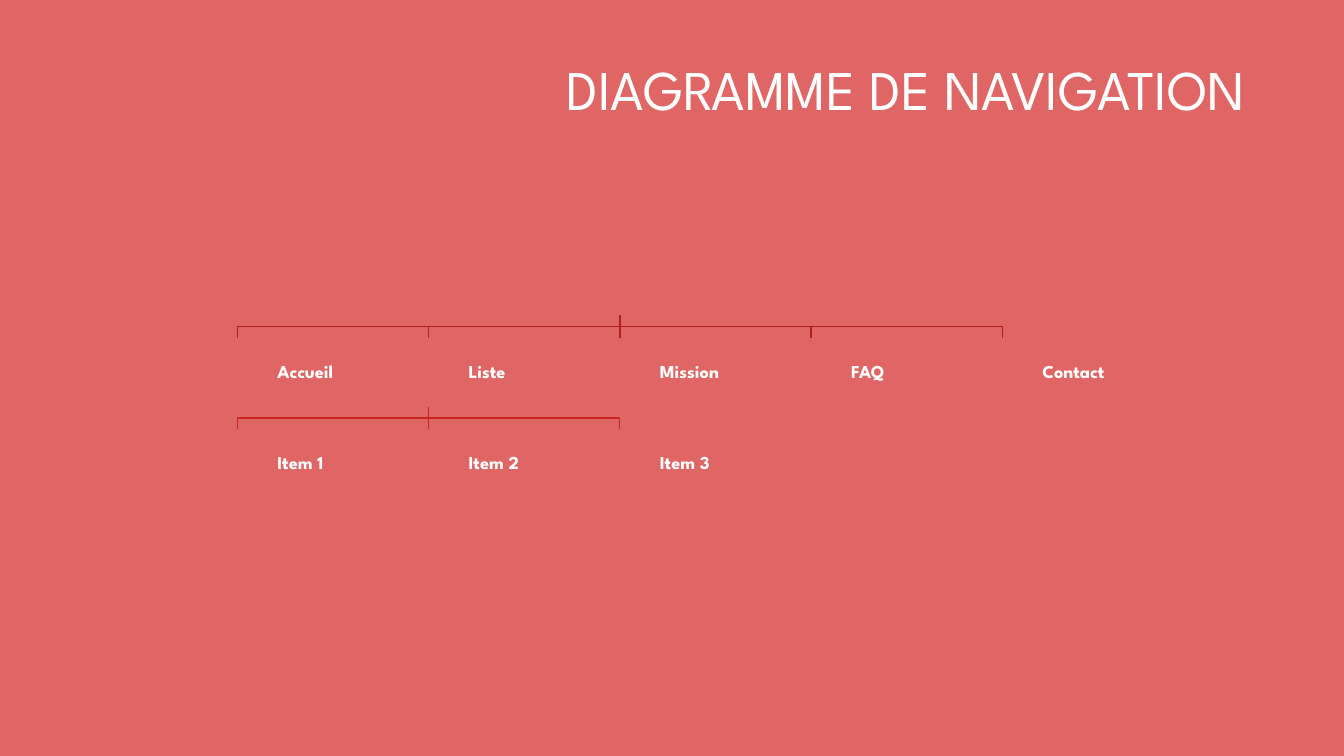
import pptx
import pptx.util
import pptx.dml.color
import pptx.enum.shapes
import pptx.enum.text
import lxml.etree

Cm = pptx.util.Cm
Pt = pptx.util.Pt
Align = pptx.enum.text.PP_ALIGN


def color(code):
    return pptx.dml.color.RGBColor.from_string(code)


def label(text, left, top, width, height, size, bold, align, inset):
    box = slide.shapes.add_textbox(Cm(left), Cm(top), Cm(width), Cm(height))
    frame = box.text_frame
    frame.word_wrap = True
    frame.vertical_anchor = pptx.enum.text.MSO_ANCHOR.MIDDLE
    frame.margin_left = frame.margin_right = Cm(inset)
    frame.margin_top = frame.margin_bottom = Cm(0.13)
    para = frame.paragraphs[0]
    para.text = text
    para.alignment = align
    para.line_spacing = 0.9
    para.font.name = "League Spartan"
    para.font.size = Pt(size)
    para.font.bold = bold
    para.font.color.rgb = color("FFFFFF")


deck = pptx.Presentation()
deck.slide_width = Cm(33.87)
deck.slide_height = Cm(19.05)
slide = deck.slides.add_slide(deck.slide_layouts[6])
slide.background.fill.solid()
slide.background.fill.fore_color.rgb = color("E06666")

# Title
label("DIAGRAMME DE NAVIGATION", 11.8, 0.53, 22.07, 3.58,
      40, False, Align.CENTER, 0.25)

# Menu levels: top, column of the parent, line colour, entries
levels = [
    (7.95, 2, "B0211C", ["Accueil", "Liste", "Mission", "FAQ", "Contact"]),
    (10.25, 1, "C92621", ["Item 1", "Item 2", "Item 3"]),
]
first, pitch, drop = 5.98, 4.82, 0.56

for top, parent, tint, names in levels:
    root = first + parent * pitch
    mid, end = top + drop / 2, top + drop
    for col, name in enumerate(names):
        left = first + col * pitch

        # Branch from the parent down to the entry
        if col == parent:
            branch = slide.shapes.add_connector(
                pptx.enum.shapes.MSO_CONNECTOR.STRAIGHT,
                Cm(root), Cm(top), Cm(left), Cm(end))
            lxml.etree.SubElement(
                branch._element.spPr, pptx.oxml.ns.qn("a:effectLst"))
        else:
            path = slide.shapes.build_freeform(Cm(root), Cm(top))
            path.add_line_segments(
                [(Cm(root), Cm(mid)), (Cm(left), Cm(mid)),
                 (Cm(left), Cm(end))], close=False)
            branch = path.convert_to_shape()
            branch.fill.background()
            branch.shadow.inherit = False
        branch.line.color.rgb = color(tint)
        branch.line.width = Pt(1)

        # Entry name
        label(name, left + 0.88, end, 2.62, 1.75, 13, True, Align.LEFT, 0.13)

deck.save("out.pptx")
